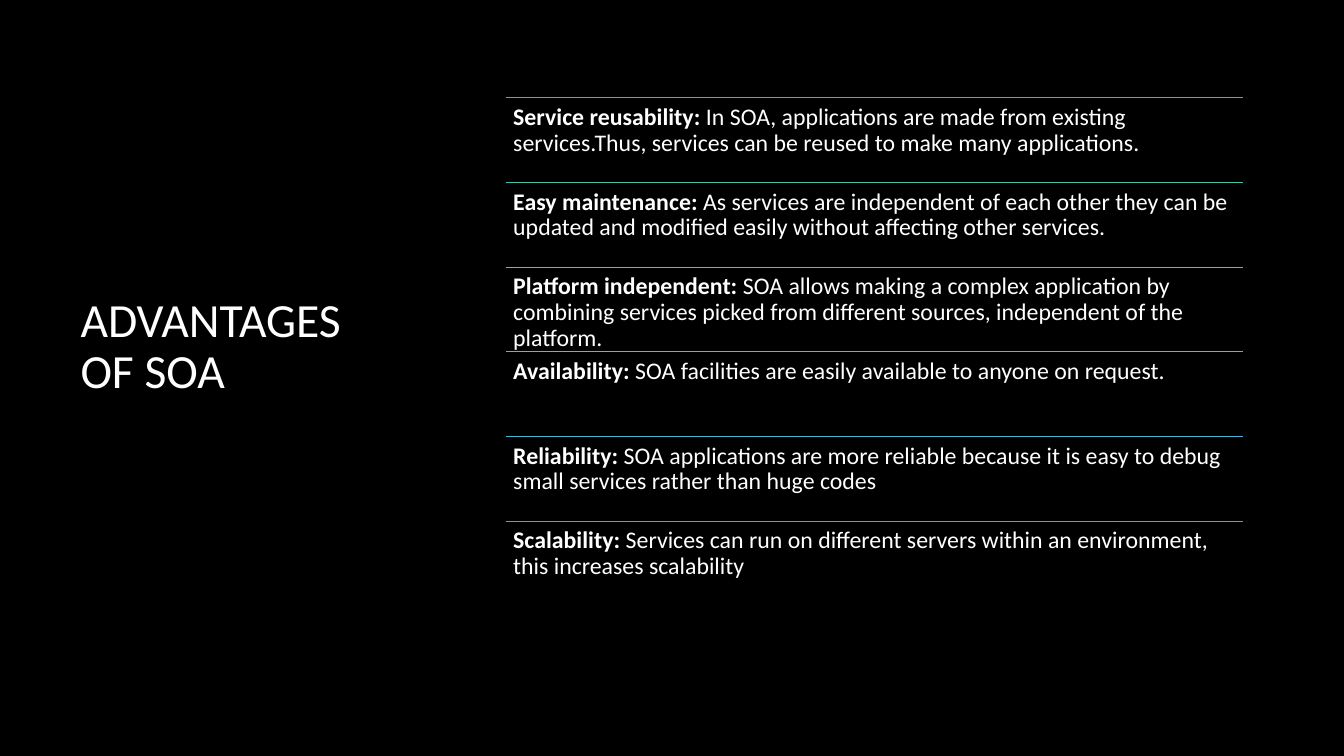
from pptx import Presentation
from pptx.dml.color import RGBColor
from pptx.enum.shapes import MSO_CONNECTOR
from pptx.enum.text import MSO_ANCHOR
from pptx.oxml.ns import qn
from pptx.util import Inches, Pt
from lxml.etree import SubElement

# Content: rule colour, heading, explanation
TITLE = "ADVANTAGES OF SOA"
ADVANTAGES = [
    ("44BA98", "Service reusability:",
     " In SOA, applications are made from existing services.Thus, "
     "services can be reused to make many applications."),
    ("43C1AC", "Easy maintenance:",
     " As services are independent of each other they can be updated "
     "and modified easily without affecting other services."),
    ("43C7C1", "Platform independent:",
     " SOA allows making a complex application by combining services "
     "picked from different sources, independent of the platform."),
    ("42C3CE", "Availability:",
     " SOA facilities are easily available to anyone on request."),
    ("43B7D3", "Reliability:",
     " SOA applications are more reliable because it is easy to debug "
     "small services rather than huge codes"),
    ("43A9D9", "Scalability: ",
     "Services can run on different servers within an environment, "
     "this increases scalability"),
]

# Layout in inches
LIST_LEFT, LIST_TOP, LIST_WIDTH, ROW_HEIGHT = 5.02, 0.97, 7.31, 0.84
INSET = 0.07
FONT, WHITE, BLACK = "Calibri", "FFFFFF", "000000"


def set_color(color_format, value):
    color_format.rgb = RGBColor.from_string(value)


def add_text(s, left, top, width, height, runs, size):
    """Add a wrapped text box; runs is a list of (text, bold)."""
    box = s.shapes.add_textbox(Inches(left), Inches(top),
                               Inches(width), Inches(height))
    tf = box.text_frame
    tf.word_wrap = True
    p = tf.paragraphs[0]
    p.line_spacing = 0.9
    for text, bold in runs:
        r = p.add_run()
        r.text = text
        r.font.name, r.font.size, r.font.bold = FONT, Pt(size), bold
        set_color(r.font.color, WHITE)
    return tf


def add_rule(s, left, top, width, color):
    line = s.shapes.add_connector(MSO_CONNECTOR.STRAIGHT, Inches(left), Inches(top),
                                  Inches(left + width), Inches(top))
    line.line.width = Pt(0.75)
    set_color(line.line.color, color)
    SubElement(line._element.spPr, qn("a:effectLst"))


prs = Presentation()
prs.slide_width, prs.slide_height = Inches(13.33), Inches(7.5)
s = prs.slides.add_slide(prs.slide_layouts[6])
s.background.fill.solid()
set_color(s.background.fill.fore_color, BLACK)

# Title
tf = add_text(s, 0.7, 1.44, 3.11, 4.02, [(TITLE, False)], 34)
tf.vertical_anchor = MSO_ANCHOR.MIDDLE

# Ruled list of advantages
for i, (color, heading, detail) in enumerate(ADVANTAGES):
    top = LIST_TOP + i * ROW_HEIGHT
    add_rule(s, LIST_LEFT, top, LIST_WIDTH, color)
    tf = add_text(s, LIST_LEFT, top, LIST_WIDTH, ROW_HEIGHT,
                  [(heading, True), (detail, False)], 17)
    tf.margin_left = tf.margin_right = Inches(INSET)
    tf.margin_top = tf.margin_bottom = Inches(INSET)

prs.save("out.pptx")
